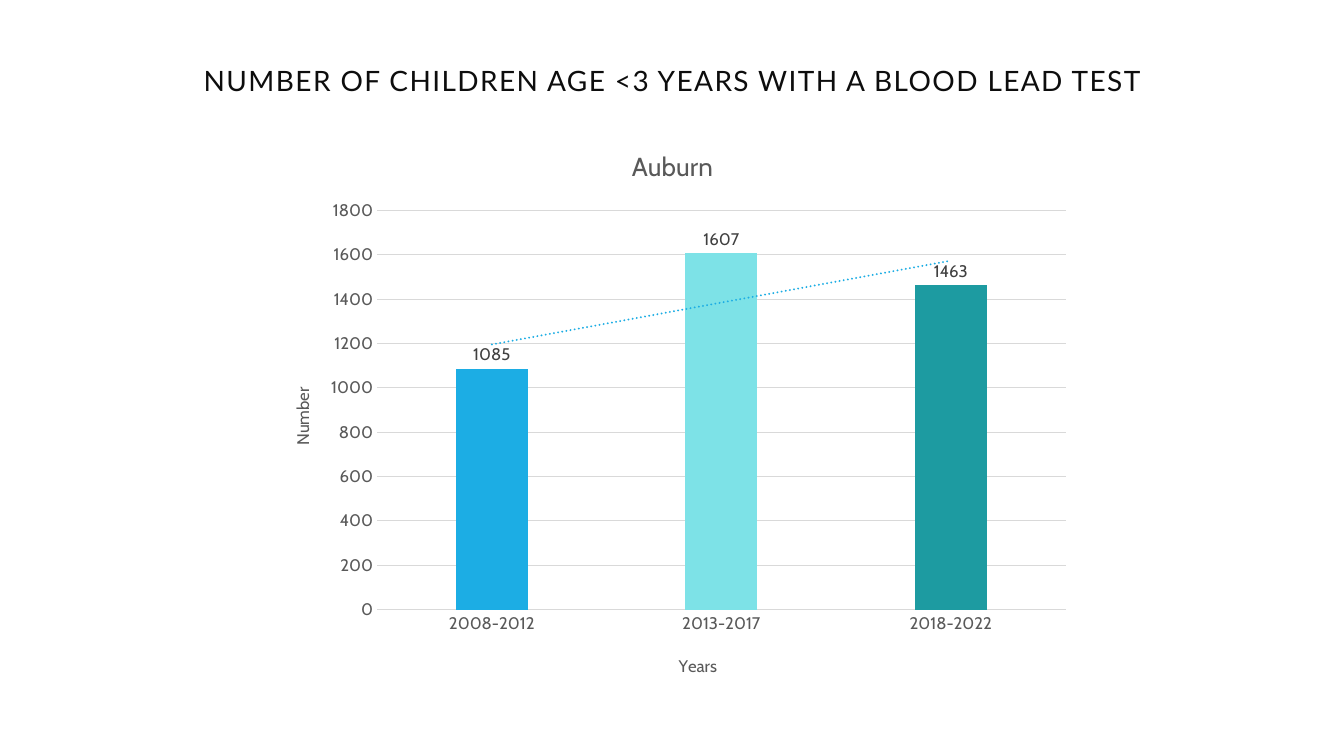
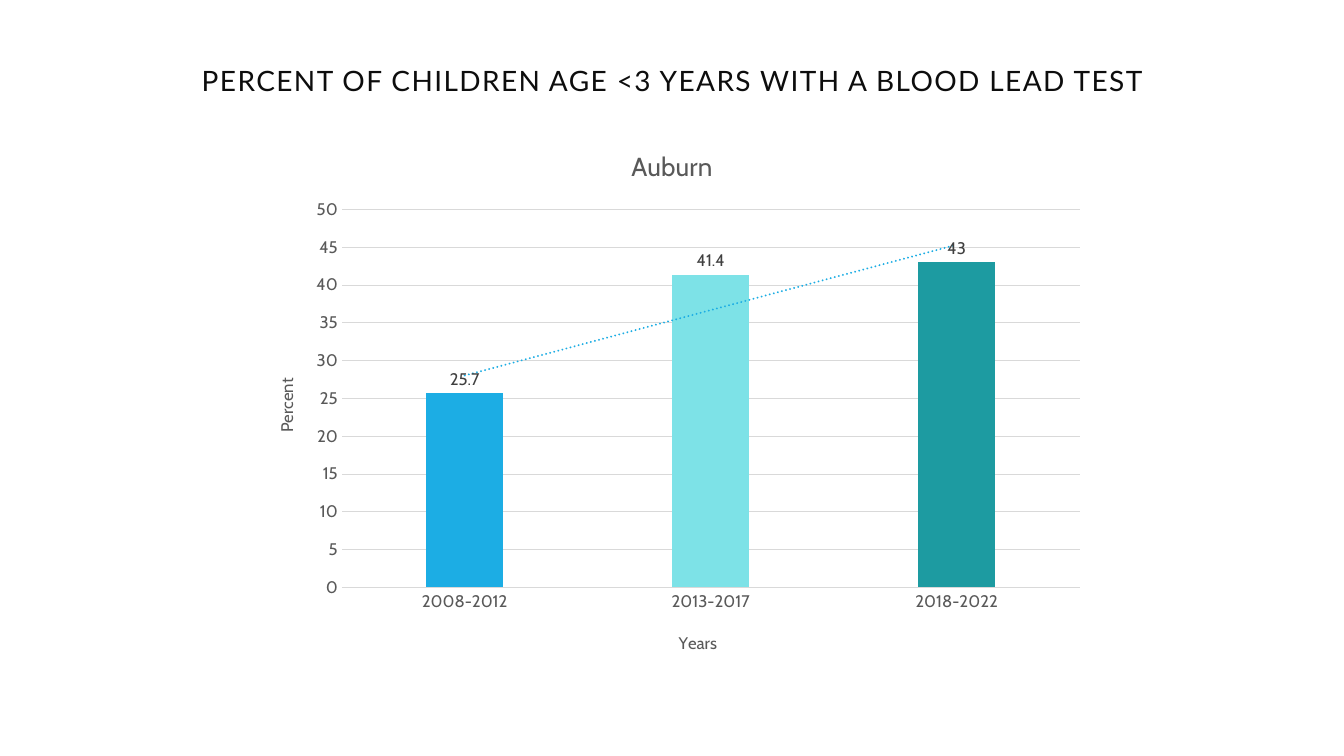
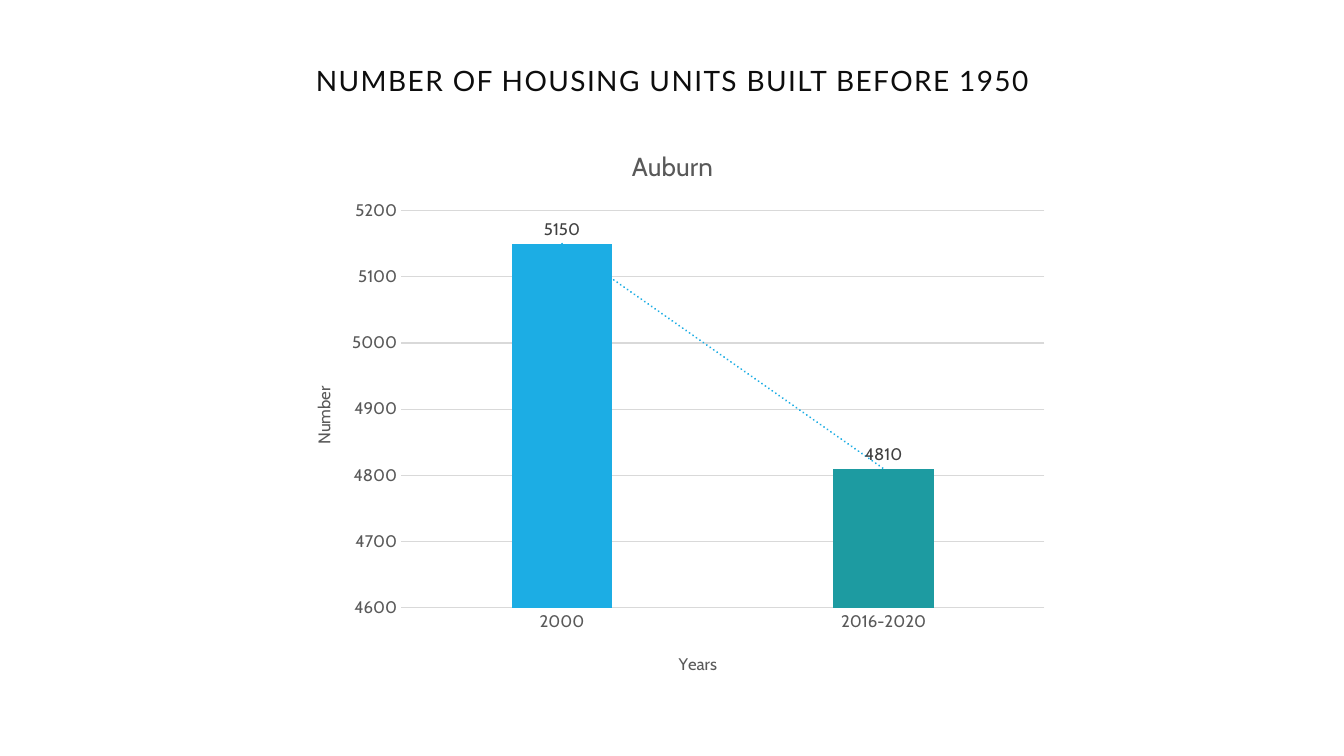
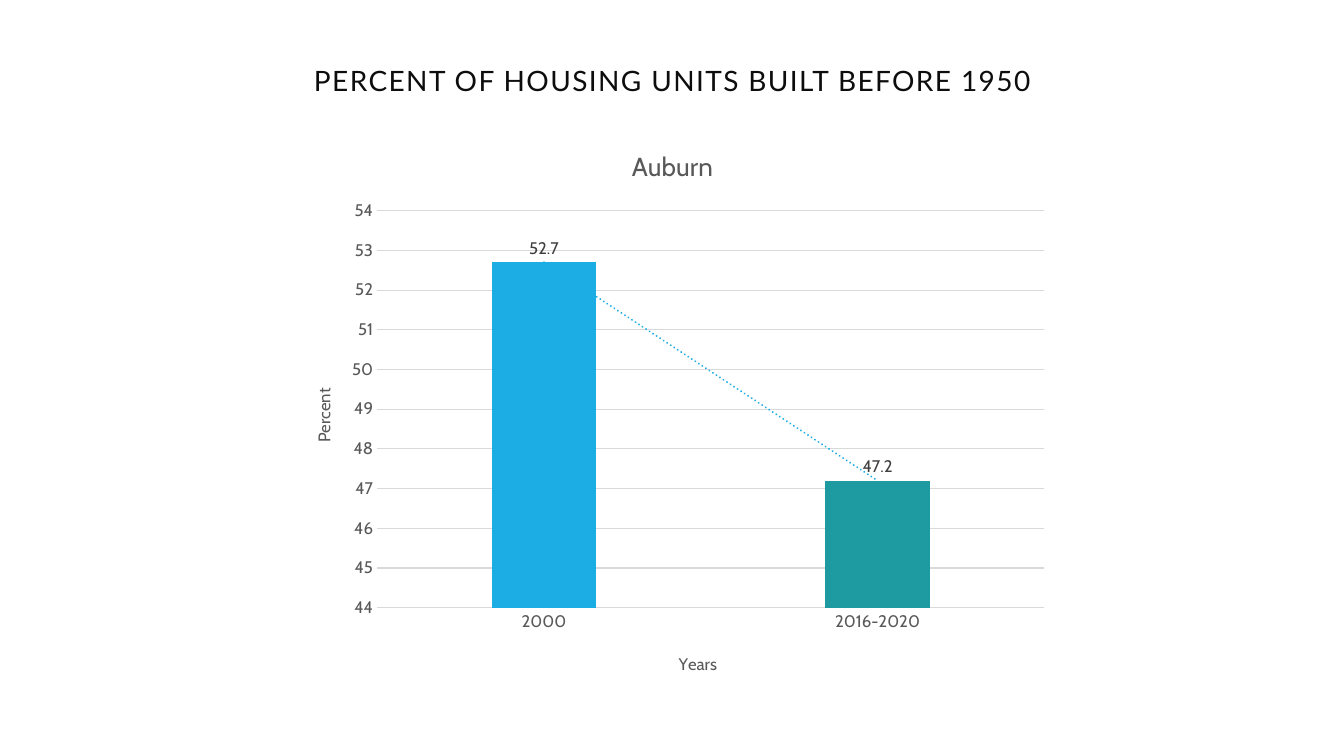
from lxml import etree
from pptx import Presentation
from pptx import util as u
from pptx.chart.data import CategoryChartData
from pptx.dml.color import RGBColor
from pptx.enum import chart as ch, text
from pptx.oxml import parse_xml
from pptx.oxml.ns import nsdecls, qn

# Shared style
BLUE, AQUA, TEAL = "1CADE4", "7DE2E7", "1D9BA1"
GRAY, GRID, LABEL, INK = "595959", "D9D9D9", "404040", "0D0D0D"
CHART_TOP = 1.26


def style(font, name, size, color):
    font.name, font.size, font.bold = name, u.Pt(size), False
    font.color.rgb = RGBColor.from_string(color)


def place(parent, index, **fractions):
    """Fix a chart part's position, in fractions of the chart."""
    old = parent.find(qn("c:layout"))
    if old is not None:
        parent.remove(old)
    layout = parse_xml(f"<c:layout {nsdecls('c')}><c:manualLayout/></c:layout>")
    manual = layout[0]
    if "w" in fractions:
        etree.SubElement(manual, qn("c:layoutTarget")).set("val", "inner")
    for key in "xy":
        etree.SubElement(manual, qn(f"c:{key}Mode")).set("val", "edge")
    for key, value in fractions.items():
        etree.SubElement(manual, qn(f"c:{key}")).set("val", str(round(value, 4)))
    parent.insert(index, layout)


TRENDLINE = (
    f"<c:trendline {nsdecls('c', 'a')}><c:spPr><a:ln w='19050' cap='rnd'>"
    f"<a:solidFill><a:srgbClr val='{BLUE}'/></a:solidFill><a:prstDash val='sysDot'/>"
    "</a:ln></c:spPr><c:trendlineType val='linear'/>"
    "<c:dispRSqr val='0'/><c:dispEq val='0'/></c:trendline>"
)

# Slide content: box is the chart's left, width and height; plot is left, top,
# right and bottom on the slide; the axis titles are left and top on the slide
TESTS = ["2008-2012", "2013-2017", "2018-2022"]
HOUSING = ["2000", "2016-2020"]
slides = [
    dict(title="NUMBER OF CHILDREN AGE <3 YEARS WITH A BLOOD LEAD TEST",
         unit="Number", cats=TESTS, vals=[1085, 1607, 1463], scale=(0, 1800, 200),
         box=(2.61, 8.12, 5.66), plot=(3.74, 2.09, 10.57, 6.05),
         unit_at=(2.86, 3.81), years_at=(6.7, 6.47)),
    dict(title="PERCENT OF CHILDREN AGE <3 YEARS WITH A BLOOD LEAD TEST",
         unit="Percent", cats=TESTS, vals=[25.7, 41.4, 43], scale=(0, 50, 5),
         box=(2.45, 8.43, 5.43), plot=(3.39, 2.08, 10.71, 5.83),
         unit_at=(2.7, 3.72), years_at=(6.7, 6.24)),
    dict(title="NUMBER OF HOUSING UNITS BUILT BEFORE 1950",
         unit="Number", cats=HOUSING, vals=[5150, 4810], scale=(4600, 5200, 100),
         box=(2.82, 7.7, 5.64), plot=(3.98, 2.09, 10.36, 6.03),
         unit_at=(3.07, 3.8), years_at=(6.7, 6.45)),
    dict(title="PERCENT OF HOUSING UNITS BUILT BEFORE 1950",
         unit="Percent", cats=HOUSING, vals=[52.7, 47.2], scale=(44, 54, 1),
         box=(2.82, 7.7, 5.64), plot=(3.74, 2.09, 10.36, 6.03),
         unit_at=(3.07, 3.82), years_at=(6.7, 6.45)),
]

prs = Presentation()
prs.slide_width, prs.slide_height = u.Inches(13.33), u.Inches(7.5)

for item in slides:
    s = prs.slides.add_slide(prs.slide_layouts[5])

    # Title
    sp = s.shapes.title
    sp.left, sp.top = u.Inches(0.92), u.Inches(0.4)
    sp.width, sp.height = u.Inches(11.5), u.Inches(0.86)
    tf = sp.text_frame
    tf.text = item["title"]
    tf.word_wrap = True
    tf.vertical_anchor = text.MSO_ANCHOR.MIDDLE
    p = tf.paragraphs[0]
    p.alignment, p.line_spacing = text.PP_ALIGN.CENTER, 0.8
    r = p.runs[0]
    style(r.font, "Lato", 20, INK)
    r.font._element.set("spc", "100")

    # Chart
    data = CategoryChartData()
    data.categories = item["cats"]
    data.add_series("Auburn", item["vals"])
    left, width, height = item["box"]
    chart = s.shapes.add_chart(
        ch.XL_CHART_TYPE.COLUMN_CLUSTERED, u.Inches(left), u.Inches(CHART_TOP),
        u.Inches(width), u.Inches(height), data).chart
    style(chart.font, "Cabin", 10, "000000")
    chart.has_legend = False
    chart.has_title = True
    tf = chart.chart_title.text_frame
    tf.text = "Auburn"
    style(tf.paragraphs[0].runs[0].font, "Cabin", 18.6, GRAY)
    x1, y1, x2, y2 = item["plot"]
    place(chart._chartSpace.chart.plotArea, 0,
          x=(x1 - left) / width, y=(y1 - CHART_TOP) / height,
          w=(x2 - x1) / width, h=(y2 - y1) / height)

    # Axes
    cat_axis, val_axis = chart.category_axis, chart.value_axis
    for axis, name, (x, y) in ((cat_axis, "Years", item["years_at"]),
                               (val_axis, item["unit"], item["unit_at"])):
        axis.major_tick_mark = axis.minor_tick_mark = ch.XL_TICK_MARK.NONE
        style(axis.tick_labels.font, "Cabin", 12, GRAY)
        tf = axis.axis_title.text_frame
        tf.text = name
        style(tf.paragraphs[0].runs[0].font, "Cabin", 12, GRAY)
        title = axis.axis_title._element
        turn = "-5400000" if axis is val_axis else "0"
        title.find(".//" + qn("a:bodyPr")).set("rot", turn)
        place(title, 1, x=(x - left) / width, y=(y - CHART_TOP) / height)
    val_axis.minimum_scale, val_axis.maximum_scale, val_axis.major_unit = item["scale"]
    val_axis.format.line.fill.background()
    for line in (cat_axis.format.line, val_axis.major_gridlines.format.line):
        line.color.rgb = RGBColor.from_string(GRID)
        line.width = u.Pt(0.75)

    # Columns, labels and trend line
    plot = chart.plots[0]
    plot.gap_width, plot.overlap, plot.vary_by_categories = 219, -27, False
    series = plot.series[0]
    series.format.fill.solid()
    series.format.fill.fore_color.rgb = RGBColor.from_string(BLUE)
    accents = [AQUA, TEAL][-(len(item["vals"]) - 1):]
    for i, color in enumerate(accents, 1):
        fill = series.points[i].format.fill
        fill.solid()
        fill.fore_color.rgb = RGBColor.from_string(color)
    labels = series.data_labels
    labels.show_value = True
    labels.position = ch.XL_LABEL_POSITION.OUTSIDE_END
    style(labels.font, "Cabin", 12, LABEL)
    series._element.find(qn("c:cat")).addprevious(parse_xml(TRENDLINE))

prs.save("out.pptx")
